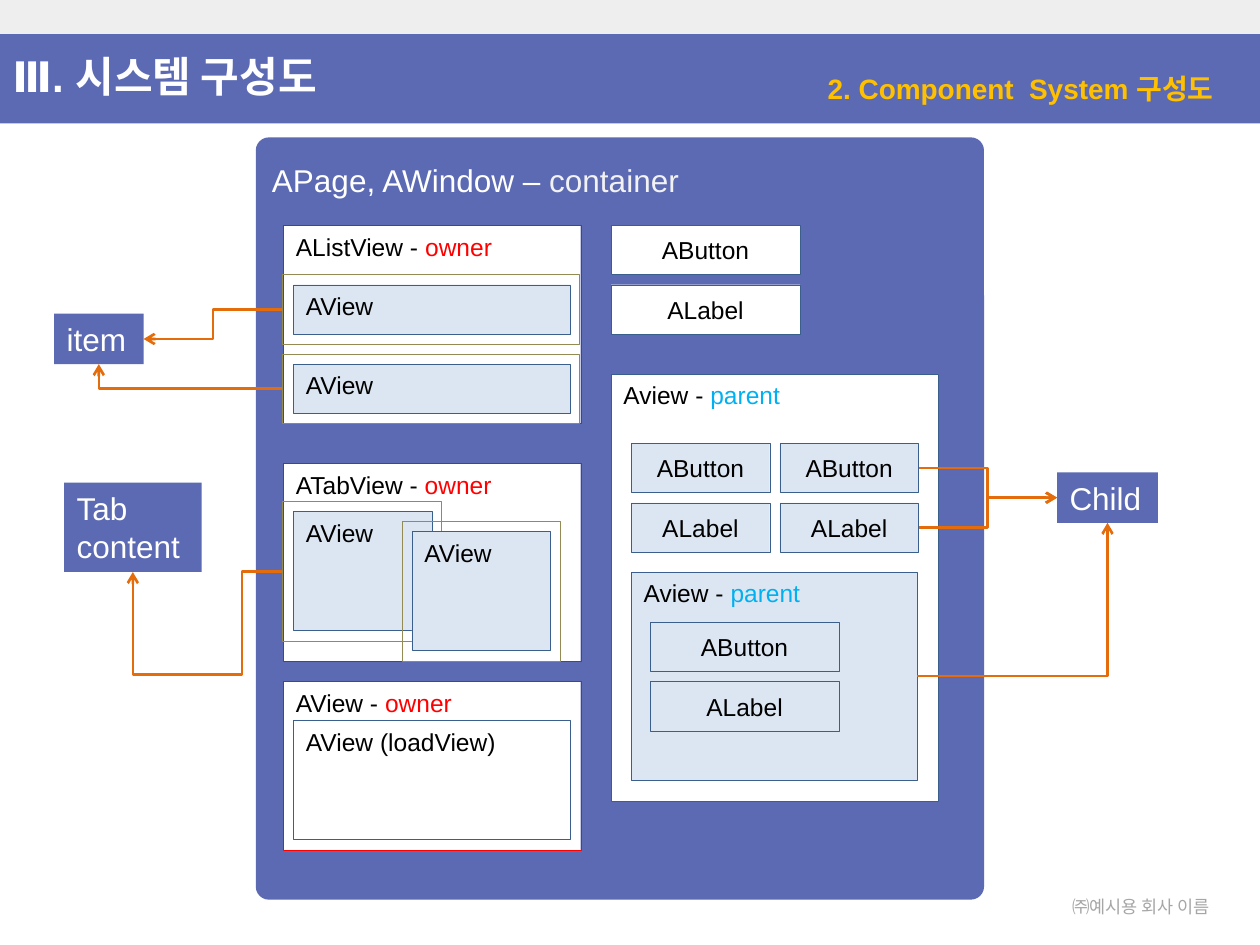
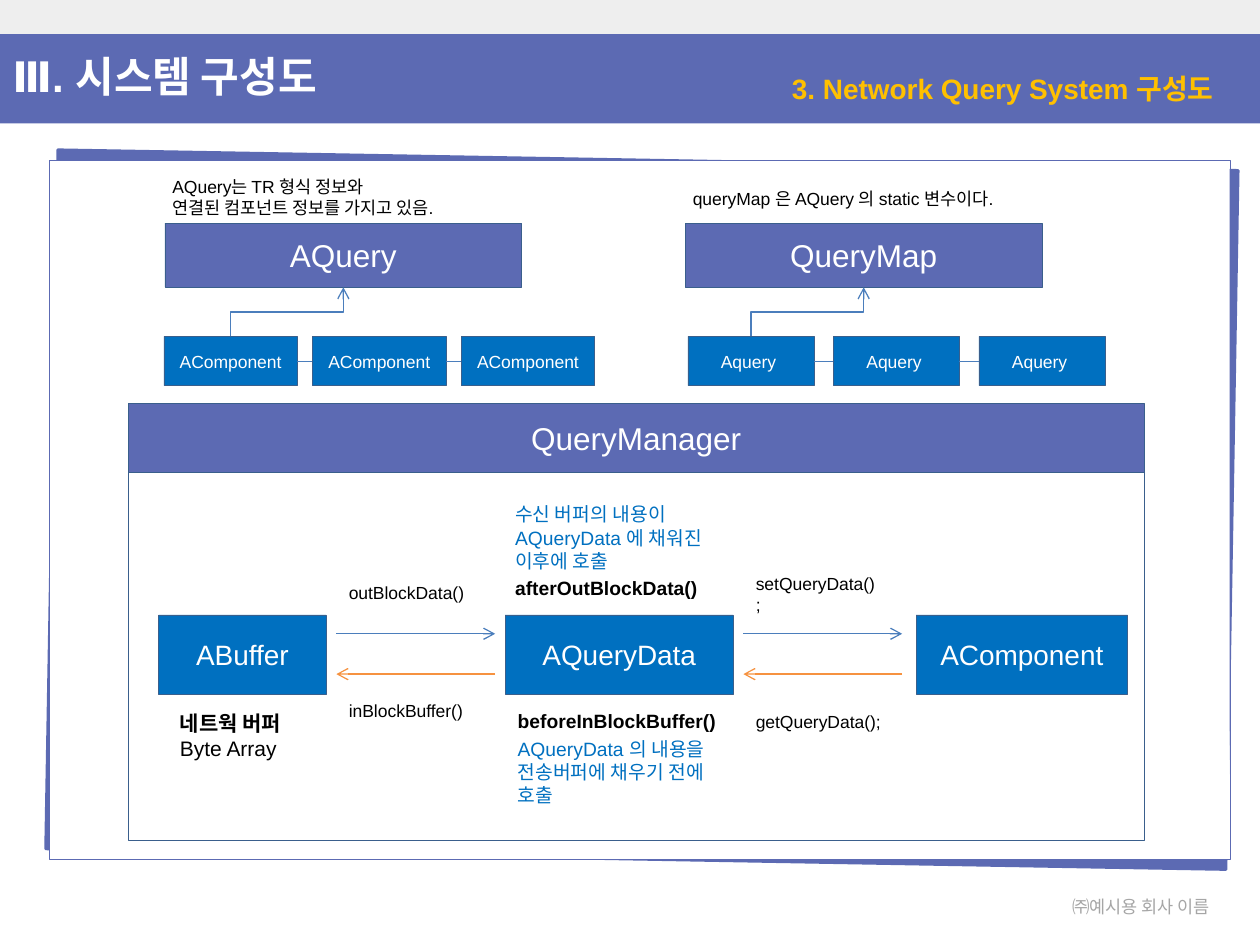
from lxml.etree import SubElement
from pptx import Presentation
from pptx.dml.color import RGBColor
from pptx.enum.shapes import MSO_CONNECTOR, MSO_SHAPE
from pptx.enum.text import MSO_ANCHOR, PP_ALIGN
from pptx.oxml.ns import qn
from pptx.util import Inches, Pt

INDIGO, BLUE, PALE, WHITE, BLACK = "5C6AB3", "0070C0", "DCE6F2", "FFFFFF", "000000"
NAVY, RED, CYAN, OLIVE = "3A5F8C", "FF0000", "00B0F0", "948A54"
ORANGE, LIGHT_ORANGE, STEEL = "E46C0A", "F69240", "4B7EBC"
GOLD, GREY, SILVER = "FFC000", "A6A6A6", "EEEEEE"
LATIN_FONT, KOREAN_FONT = "Arial", "Noto Sans CJK KR"
TOP, LEFT, BOTTOM, RIGHT = range(4)


def rgb(value):
    """Turn a hex string into a colour."""
    return RGBColor.from_string(value)


def add_text(paragraph, text, size=14, color=BLACK, bold=False, font=LATIN_FONT):
    """Append a formatted run to a paragraph."""
    run = paragraph.add_run()
    run.text = text
    run.font.size = Pt(size)
    run.font.bold = bold
    run.font.color.rgb = rgb(color)
    run.font.name = font
    SubElement(run.font._element, qn("a:ea"), typeface=KOREAN_FONT)


def add_box(slide, left, top, width, height, fill=None, line=None, weight=0.25,
            kind=MSO_SHAPE.RECTANGLE, radius=None):
    """Add a flat preset shape, hollow or borderless by default."""
    shape = slide.shapes.add_shape(
        kind, Inches(left), Inches(top), Inches(width), Inches(height))
    shape.shadow.inherit = False
    if radius is not None:
        shape.adjustments[0] = radius
    if fill:
        shape.fill.solid()
        shape.fill.fore_color.rgb = rgb(fill)
    else:
        shape.fill.background()
    if line:
        shape.line.color.rgb = rgb(line)
        shape.line.width = Pt(weight)
    else:
        shape.line.fill.background()
    return shape


def add_heading(shape, name, role="", role_color=RED, **text_format):
    """Write a name and a coloured role at the top left of a shape."""
    frame = shape.text_frame
    frame.vertical_anchor = MSO_ANCHOR.TOP
    paragraph = frame.paragraphs[0]
    paragraph.alignment = PP_ALIGN.LEFT
    add_text(paragraph, name, **text_format)
    if role:
        add_text(paragraph, role, **{**text_format, "color": role_color})


def add_view(slide, left, top, width, height, name, role="", role_color=RED,
             fill=PALE, line=NAVY):
    """Add a view box with its heading and return it."""
    view = add_box(slide, left, top, width, height, fill, line)
    add_heading(view, name, role, role_color)
    return view


def add_node(slide, left, top, width, height, text, fill=PALE, **text_format):
    """Add a bordered box with centred text and return it."""
    node = add_box(slide, left, top, width, height, fill, NAVY)
    node.text_frame.vertical_anchor = MSO_ANCHOR.MIDDLE
    paragraph = node.text_frame.paragraphs[0]
    paragraph.alignment = PP_ALIGN.CENTER
    add_text(paragraph, text, **text_format)
    return node


def add_tag(slide, left, top, width, height, text):
    """Add an indigo tag outside the container and return it."""
    tag = add_box(slide, left, top, width, height, INDIGO)
    frame = tag.text_frame
    frame.word_wrap = False
    frame.vertical_anchor = MSO_ANCHOR.TOP
    for index, line in enumerate(text.split("\n")):
        paragraph = frame.add_paragraph() if index else frame.paragraphs[0]
        paragraph.alignment = PP_ALIGN.LEFT
        add_text(paragraph, line, size=18, color=WHITE)
    return tag


def add_note(slide, left, top, width, height, lines, wrap=False,
             align=PP_ALIGN.LEFT, gap_before=None, **text_format):
    """Add a text box; each line is a text or a text with its own format."""
    frame = slide.shapes.add_textbox(
        Inches(left), Inches(top), Inches(width), Inches(height)).text_frame
    frame.word_wrap = wrap
    for index, line in enumerate(lines):
        text, own_format = (line, {}) if isinstance(line, str) else line
        paragraph = frame.add_paragraph() if index else frame.paragraphs[0]
        paragraph.alignment = align
        if index and index == gap_before:
            paragraph.space_before = Pt(2.5)
        add_text(paragraph, text, **{**text_format, **own_format})


def style_connector(connector, color, weight, arrow):
    """Set the line of a connector, drop its shadow and add an arrowhead."""
    connector.line.color.rgb = rgb(color)
    connector.line.width = Pt(weight)
    if arrow:
        SubElement(connector.line._get_or_add_ln(), qn("a:tailEnd"), type="arrow")
    SubElement(connector._element.spPr, qn("a:effectLst"))


def add_line(slide, start_x, end_x, y, color=STEEL, arrow=False):
    """Add a horizontal line."""
    connector = slide.shapes.add_connector(
        MSO_CONNECTOR.STRAIGHT, Inches(start_x), Inches(y), Inches(end_x), Inches(y))
    style_connector(connector, color, 0.75, arrow)


def add_elbow(slide, start, start_site, end, end_site, preset="bentConnector3",
              color=ORANGE, weight=1.5):
    """Join two shapes with a bent arrow."""
    connector = slide.shapes.add_connector(MSO_CONNECTOR.ELBOW, 0, 0, 0, 0)
    connector.begin_connect(start, start_site)
    connector.end_connect(end, end_site)
    connector._element.spPr.prstGeom.set("prst", preset)
    style_connector(connector, color, weight, True)
    return connector


def set_guides(connector, **guides):
    """Set the bend positions of a connector as shares of its size."""
    values = connector._element.spPr.prstGeom.get_or_add_avLst()
    for name, share in guides.items():
        SubElement(values, qn("a:gd"), name=name, fmla=f"val {round(share * 100000)}")


def add_riser(slide, start, end):
    """Join the top of one shape to the bottom of a shape up to its right."""
    connector = add_elbow(slide, start, TOP, end, BOTTOM, color=STEEL, weight=0.75)
    run, rise = connector.width, connector.height
    center_x, center_y = connector.left + run // 2, connector.top + rise // 2
    connector.left, connector.top = center_x - rise // 2, center_y - run // 2
    connector.width, connector.height = rise, run
    transform = connector._element.spPr.xfrm
    transform.attrib.pop("flipV", None)
    transform.set("rot", str(270 * 60000))


def add_slide(presentation, subtitle):
    """Add a slide with the shared bands, footer and titles."""
    slide = presentation.slides.add_slide(presentation.slide_layouts[6])
    add_box(slide, 0, 0.27, 10, 0.71, INDIGO)
    add_note(slide, 8.25, 7.06, 1.61, 0.27, ["㈜예시용 회사 이름"],
             align=PP_ALIGN.CENTER, size=10, color=GREY, font=KOREAN_FONT)
    add_box(slide, 0, 0, 10, 0.27, SILVER)
    add_note(slide, 6.02, 0.52, 3.71, 0.37, [subtitle], wrap=True,
             align=PP_ALIGN.RIGHT, size=16, color=GOLD, bold=True)
    add_note(slide, 0, 0.35, 3.83, 0.5, ["Ⅲ. 시스템 구성도"], wrap=True,
             size=24, color=WHITE, bold=True)
    return slide


def add_owner_views(slide):
    """Add the list, tab and load views with their item and tab tags."""
    left, width = 2.25, 2.36
    add_view(slide, left, 3.68, width, 1.57, "ATabView - ", "owner", fill=WHITE, line=RED)
    add_view(slide, 2.33, 4.06, 1.1, 0.94, "AView")
    tab_outline = add_box(slide, 2.24, 3.98, 1.26, 1.11, line=OLIVE)
    add_view(slide, 3.27, 4.22, 1.1, 0.94, "AView")
    add_box(slide, 3.19, 4.14, 1.26, 1.11, line=OLIVE)

    add_view(slide, left, 5.41, width, 1.34, "AView - ", "owner", fill=WHITE, line=RED)
    add_view(slide, 2.33, 5.72, 2.2, 0.94, "AView (loadView)", fill=WHITE)

    add_view(slide, left, 1.79, width, 1.57, "AListView - ", "owner", fill=WHITE, line=RED)
    item_outlines = []
    for top in (2.18, 2.81):
        add_view(slide, 2.33, top + 0.08, 2.2, 0.39, "AView")
        item_outlines.append(add_box(slide, 2.24, top, width, 0.55, line=OLIVE))

    item = add_tag(slide, 0.43, 2.49, 0.71, 0.4, "item")
    add_elbow(slide, item_outlines[0], LEFT, item, RIGHT)
    add_elbow(slide, item_outlines[1], LEFT, item, BOTTOM, "bentConnector2")

    tab_content = add_tag(slide, 0.51, 3.83, 1.09, 0.71, "Tab\ncontent")
    detour = add_elbow(slide, tab_outline, LEFT, tab_content, BOTTOM, "bentConnector4")
    set_guides(detour, adj1=0.27, adj2=Inches(0.8) / max(detour.height, 1))


def add_parent_views(slide):
    """Add the loose controls, the nested parent views and the child tag."""
    for row, name in enumerate(("AButton", "ALabel")):
        add_node(slide, 4.85, 1.79 + 0.47 * row, 1.5, 0.39, name, fill=WHITE)

    add_view(slide, 4.85, 2.97, 2.6, 3.39, "Aview - ", "parent", CYAN, fill=WHITE)
    children = []
    for row, name in enumerate(("AButton", "ALabel")):
        for column in range(2):
            child = add_node(slide, 5.01 + 1.18 * column, 3.52 + 0.47 * row,
                             1.1, 0.39, name)
        children.append(child)

    inner_view = add_view(slide, 5.01, 4.54, 2.27, 1.65, "Aview - ", "parent", CYAN)
    for row, name in enumerate(("AButton", "ALabel")):
        add_node(slide, 5.16, 4.94 + 0.47 * row, 1.5, 0.39, name)

    child_tag = add_tag(slide, 8.39, 3.75, 0.8, 0.4, "Child")
    for child in children:
        add_elbow(slide, child, RIGHT, child_tag, LEFT)
    add_elbow(slide, inner_view, RIGHT, child_tag, BOTTOM, "bentConnector2")


def add_component_slide(presentation):
    """Build the component system slide."""
    slide = add_slide(presentation, "2. Component  System 구성도")
    container = add_box(slide, 2.03, 1.09, 5.78, 6.05, INDIGO,
                        kind=MSO_SHAPE.ROUNDED_RECTANGLE, radius=0.018)
    container.text_frame.margin_top = Inches(0.16)
    add_heading(container, "APage, AWindow – ", "container", "F2F2F2",
                size=18, color=WHITE)
    add_parent_views(slide)
    add_owner_views(slide)


def add_chain(slide, head, left, width, step, name):
    """Add three linked boxes under a head and join the first to it."""
    top, height = 2.67, 0.39
    nodes = [add_node(slide, left + step * index, top, width, height, name,
                      fill=BLUE, size=10, color=WHITE) for index in range(3)]
    for index in range(2):
        add_line(slide, left + step * index + width, left + step * (index + 1), 2.87)
    add_riser(slide, nodes[0], head)


def add_query_manager(slide):
    """Add the query manager frame, its data boxes, arrows and notes."""
    add_box(slide, 1.02, 3.59, 8.06, 3.08, line=NAVY)
    add_node(slide, 1.02, 3.2, 8.06, 0.55, "QueryManager", fill=INDIGO,
             size=18, color=WHITE)
    for left, width, name in ((1.26, 1.33, "ABuffer"), (4.01, 1.81, "AQueryData"),
                              (7.27, 1.68, "AComponent")):
        add_node(slide, left, 4.88, width, 0.63, name, fill=BLUE, size=16, color=WHITE)
    for left in (2.67, 5.9):
        add_line(slide, left, left + 1.26, 5.03, arrow=True)
        add_line(slide, left + 1.26, left, 5.35, LIGHT_ORANGE, arrow=True)
    for left, top, width, text in ((2.67, 4.57, 1.13, "outBlockData()"),
                                   (2.67, 5.51, 1.12, "inBlockBuffer()"),
                                   (5.9, 4.5, 1.18, "setQueryData();"),
                                   (5.9, 5.59, 1.2, "getQueryData();")):
        add_note(slide, left, top, width, 0.27, [text], size=10)

    strong = {"color": BLACK, "bold": True}
    add_note(slide, 1.33, 5.59, 1.1, 0.5, [("네트웍 버퍼", strong), "Byte Array"], size=12)
    add_note(slide, 3.99, 3.94, 1.83, 0.88,
             ["수신 버퍼의 내용이", "AQueryData 에 채워진", "이후에 호출",
              ("afterOutBlockData()", strong)], gap_before=3, size=11, color=BLUE)
    add_note(slide, 4.01, 5.58, 1.91, 0.88,
             [("beforeInBlockBuffer()", strong), "AQueryData 의 내용을",
              "전송버퍼에 채우기 전에", "호출"], gap_before=1, size=11, color=BLUE)


def add_network_slide(presentation):
    """Build the network query system slide."""
    slide = add_slide(presentation, "3. Network Query System 구성도")
    panel = {"line": INDIGO, "kind": MSO_SHAPE.ROUNDED_RECTANGLE, "radius": 0}
    backing = add_box(slide, 0.41, 1.27, 9.37, 5.55, INDIGO, weight=1.5, **panel)
    backing.rotation = 1
    add_box(slide, 0.39, 1.27, 9.37, 5.55, WHITE, **panel)

    query, query_map = [
        add_node(slide, left, 1.77, 2.83, 0.51, name, fill=INDIGO, size=18, color=WHITE)
        for left, name in ((1.31, "AQuery"), (5.44, "QueryMap"))]
    add_note(slide, 1.27, 1.35, 2.53, 0.44,
             ["AQuery는 TR 형식 정보와", "연결된 컴포넌트 정보를 가지고 있음."], size=10)
    add_note(slide, 5.4, 1.44, 2.86, 0.27,
             ["queryMap 은 AQuery 의 static 변수이다."], size=10)
    add_chain(slide, query, 1.3, 1.06, 1.18, "AComponent")
    add_chain(slide, query_map, 5.46, 1, 1.155, "Aquery ")
    add_query_manager(slide)


def main():
    """Build and save the presentation."""
    presentation = Presentation()
    presentation.slide_width = Inches(10)
    presentation.slide_height = Inches(7.5)
    add_component_slide(presentation)
    add_network_slide(presentation)
    presentation.save("out.pptx")


if __name__ == "__main__":
    main()
